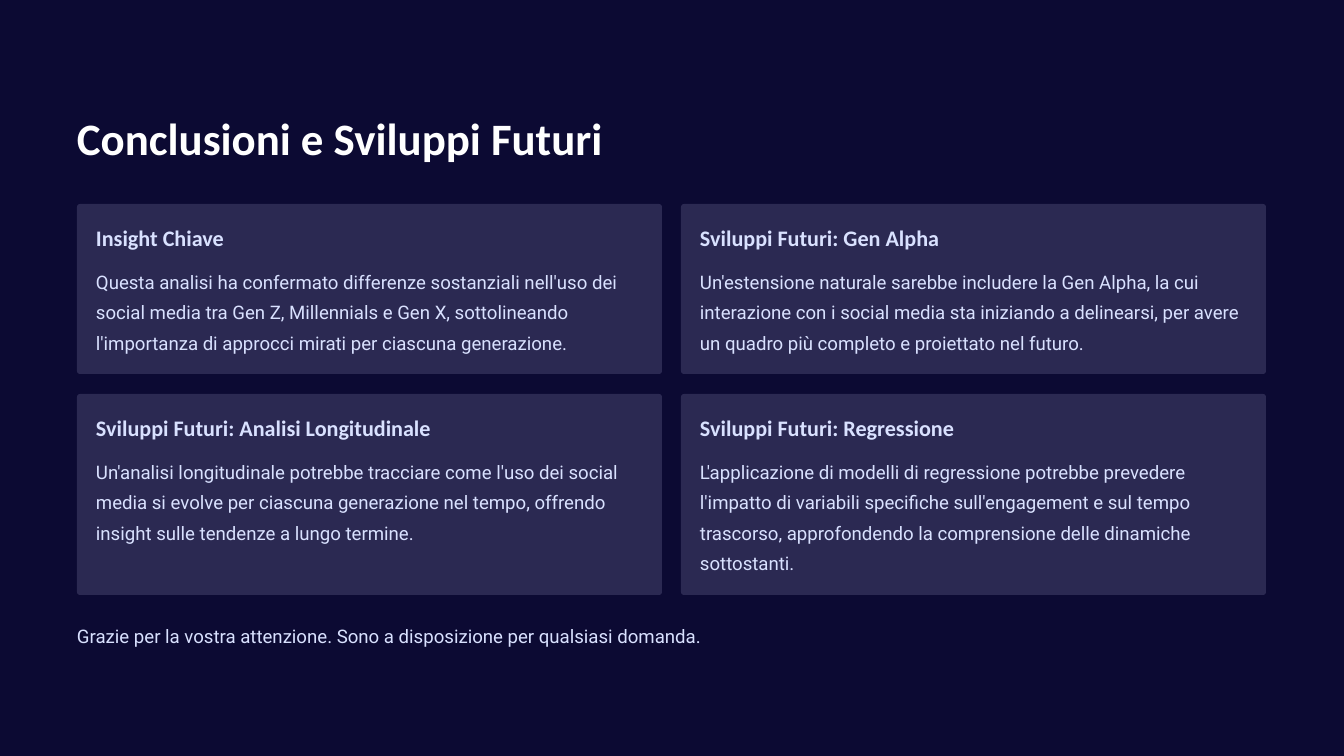
"""Build the closing slide with conclusions and future developments."""
from pptx import Presentation
from pptx.dml.color import RGBColor
from pptx.enum.shapes import MSO_SHAPE as Shape
from pptx.enum.text import MSO_ANCHOR as Anchor, MSO_AUTO_SIZE as AutoSize, PP_ALIGN as Align
from pptx.util import Emu, Pt

EMU_PER_PX = 914400 / 84
NIGHT = RGBColor(0x0C, 0x0A, 0x33)
PANEL = RGBColor(0x2B, 0x29, 0x52)
WHITE = RGBColor(0xFF, 0xFF, 0xFF)
PALE = RGBColor(0xD9, 0xE1, 0xFF)

TITLE_STYLE = ("Calibri", 38.5, 48.5, WHITE, True)
HEADING_STYLE = ("Calibri", 19, 24, PALE, True)
BODY_STYLE = ("Roboto", 16, 26, PALE, False)

MARGIN = 77
CARD_WIDTH = 585
GAP = 19
PADDING = 19
RADIUS = 3
CARD_ROWS = [
    (204, 170, [
        ("Insight Chiave",
         "Questa analisi ha confermato differenze sostanziali nell'uso dei social media tra "
         "Gen Z, Millennials e Gen X, sottolineando l'importanza di approcci mirati per "
         "ciascuna generazione."),
        ("Sviluppi Futuri: Gen Alpha",
         "Un'estensione naturale sarebbe includere la Gen Alpha, la cui interazione con i "
         "social media sta iniziando a delinearsi, per avere un quadro più completo e "
         "proiettato nel futuro."),
    ]),
    (394, 201, [
        ("Sviluppi Futuri: Analisi Longitudinale",
         "Un'analisi longitudinale potrebbe tracciare come l'uso dei social media si evolve "
         "per ciascuna generazione nel tempo, offrendo insight sulle tendenze a lungo termine."),
        ("Sviluppi Futuri: Regressione",
         "L'applicazione di modelli di regressione potrebbe prevedere l'impatto di variabili "
         "specifiche sull'engagement e sul tempo trascorso, approfondendo la comprensione "
         "delle dinamiche sottostanti."),
    ]),
]


def px(length):
    """Turn pixels into EMU."""
    return Emu(round(length * EMU_PER_PX))


def write(shape, text, style):
    """Fill a text shape with one styled run, without insets."""
    font_name, size, spacing, color, bold = style
    frame = shape.text_frame
    frame.word_wrap = True
    frame.auto_size = AutoSize.NONE
    frame.vertical_anchor = Anchor.TOP
    frame.margin_left = frame.margin_right = frame.margin_top = frame.margin_bottom = 0
    para = frame.paragraphs[0]
    para.alignment = Align.LEFT
    para.line_spacing = Pt(spacing)
    para.space_before = Pt(0)
    run = para.add_run()
    run.text = text
    run.font.name = font_name
    run.font.size = Pt(size)
    run.font.bold = bold
    run.font.color.rgb = color


def add_text(page, box, text, style):
    """Add a text box at the given pixel box."""
    write(page.shapes.add_textbox(*map(px, box)), text, style)


def add_title(page, box, text):
    """Place and fill the title placeholder."""
    title = page.shapes.title
    title.left, title.top, title.width, title.height = map(px, box)
    write(title, text, TITLE_STYLE)


def add_card(page, box, heading, body):
    """Draw a rounded panel with its heading and body text."""
    left, top, width, height = box
    panel = page.shapes.add_shape(Shape.ROUNDED_RECTANGLE, *map(px, box))
    panel.adjustments[0] = RADIUS / height
    panel.shadow.inherit = False
    panel.fill.solid()
    panel.fill.fore_color.rgb = PANEL
    panel.line.fill.background()
    inner_left, inner_width = left + PADDING, width - 2 * PADDING
    add_text(page, (inner_left, top + PADDING, inner_width, 28), heading, HEADING_STYLE)
    add_text(page, (inner_left, top + 59, inner_width, height - 59 - PADDING), body, BODY_STYLE)


def add_conclusions(deck):
    """Add the slide with title, card grid and closing line."""
    page = deck.slides.add_slide(deck.slide_layouts[5])
    page.background.fill.solid()
    page.background.fill.fore_color.rgb = NIGHT
    full_width = 2 * CARD_WIDTH + GAP
    add_title(page, (MARGIN, 108, full_width, 56), "Conclusioni e Sviluppi Futuri")
    for top, height, cards in CARD_ROWS:
        for column, (heading, body) in enumerate(cards):
            left = MARGIN + column * (CARD_WIDTH + GAP)
            add_card(page, (left, top, CARD_WIDTH, height), heading, body)
    add_text(page, (MARGIN, 617, full_width, 31),
             "Grazie per la vostra attenzione. Sono a disposizione per qualsiasi domanda.",
             BODY_STYLE)


def main():
    """Create and save the deck."""
    deck = Presentation()
    deck.slide_width, deck.slide_height = px(1344), px(756)
    add_conclusions(deck)
    deck.save("out.pptx")


if __name__ == "__main__":
    main()
